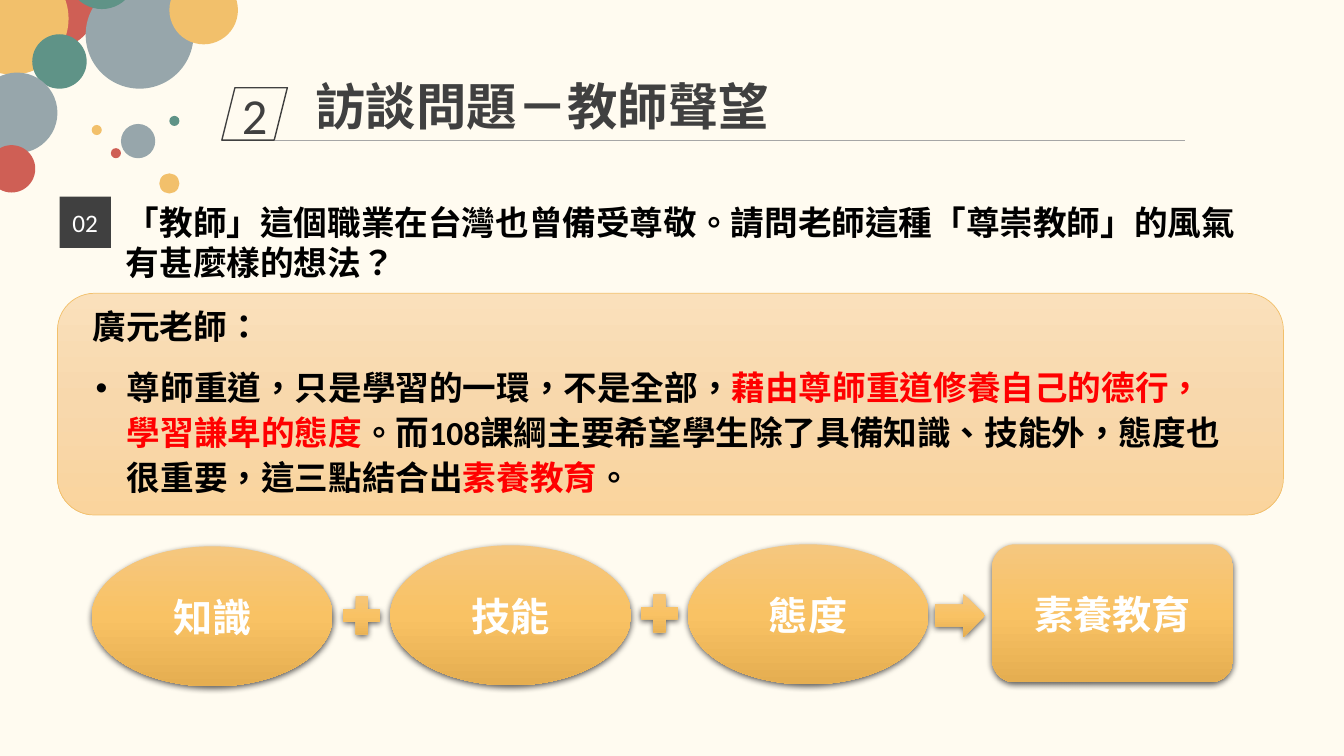
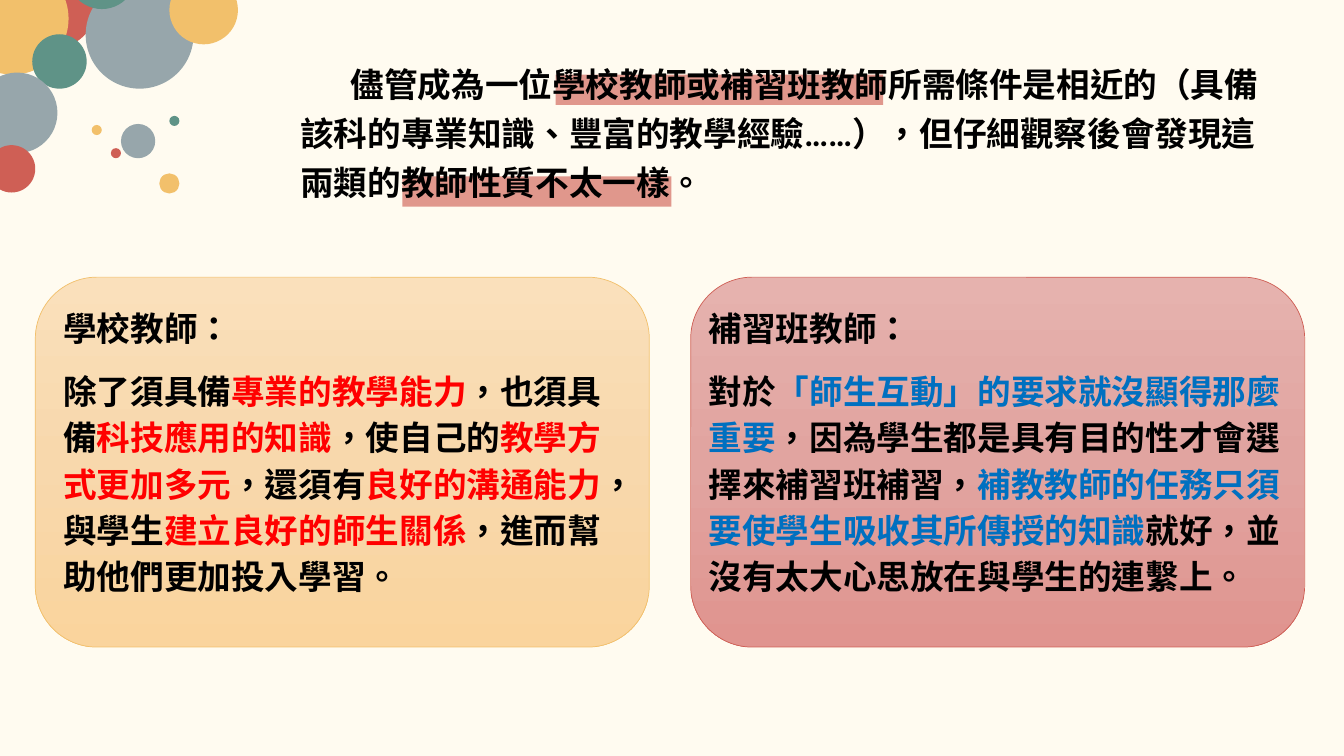
from copy import deepcopy
from dataclasses import dataclass

from lxml import etree
from pptx import Presentation
from pptx.dml.color import RGBColor
from pptx.enum.lang import MSO_LANGUAGE_ID
from pptx.enum.shapes import MSO_CONNECTOR, MSO_SHAPE
from pptx.enum.text import MSO_ANCHOR, MSO_AUTO_SIZE, PP_ALIGN
from pptx.oxml.ns import qn
from pptx.util import Emu, Pt

OVAL, RECT, ROUND = MSO_SHAPE.OVAL, MSO_SHAPE.RECTANGLE, MSO_SHAPE.ROUNDED_RECTANGLE
PLUS, ARROW, SLANT = MSO_SHAPE.MATH_PLUS, MSO_SHAPE.RIGHT_ARROW, MSO_SHAPE.PARALLELOGRAM
STRAIGHT = MSO_CONNECTOR.STRAIGHT
LEFT, CENTER = PP_ALIGN.LEFT, PP_ALIGN.CENTER
MIDDLE, FIT = MSO_ANCHOR.MIDDLE, MSO_AUTO_SIZE.SHAPE_TO_FIT_TEXT
CHINESE = MSO_LANGUAGE_ID.TRADITIONAL_CHINESE
PX = 9144  # 100 px to the inch


@dataclass(frozen=True)
class Theme:
    background: str = "FFFBF0"
    black: str = "000000"
    white: str = "FFFFFF"
    dark: str = "404040"
    rule: str = "A6A6A6"
    red: str = "CF5F55"
    yellow: str = "F2C06B"
    green: str = "5F9387"
    gray: str = "97A6AB"
    strong: str = "FF0000"
    blue: str = "0070C0"
    pale_yellow: tuple = ("FAE0BB", "F8D8AC", "FAD49D")
    pale_red: tuple = ("E6B2AE", "E1A4A0", "E0948F")
    gold: tuple = ("F5C77F", "F9C264", "E5AE51")
    body_font: str = "Calibri"
    heading_font: str = "Noto Sans CJK SC"
    title_size: int = 36
    step_size: int = 28
    body_size: int = 24
    tag_size: int = 18


THEME = Theme()

# Corner circles: left, top, diameter, colour
CIRCLES = [
    (4, -44, 93, THEME.red), (-43, -37, 111, THEME.yellow), (32, 34, 54, THEME.green),
    (-23, 72, 80, THEME.gray), (85, -19, 107, THEME.gray), (67, -59, 68, THEME.green),
    (-12, 144, 47, THEME.red), (120, 123, 34, THEME.gray), (110, 147, 10, THEME.red),
    (91, 124, 10, THEME.yellow), (168, 115, 10, THEME.green), (158, 172, 20, THEME.yellow),
    (168, -24, 68, THEME.yellow),
]

# Slide 1
TITLE = "訪談問題－教師聲望"
QUESTION = "「教師」這個職業在台灣也曾備受尊敬。請問老師這種「尊崇教師」的風氣有甚麼樣的想法？"
SPEAKER = "廣元老師："
ANSWER = [
    ("尊師重道，只是學習的一環，不是全部，", THEME.black),
    ("藉由尊師重道修養自己的德行，學習謙卑的態度", THEME.strong),
    ("。而108課綱主要希望學生除了具備知識、技能外，態度也很重要，這三點結合出", THEME.black),
    ("素養教育", THEME.strong),
    ("。", THEME.black),
]
STEPS = [
    (OVAL, (91, 542, 239, 139), "知識"),
    (OVAL, (387, 541, 239, 139), "技能"),
    (OVAL, (682, 540, 239, 139), "態度"),
    (ROUND, (984, 540, 239, 137), "素養教育"),
    (ARROW, (927, 589, 50, 43), ""),
    (PLUS, (334, 585, 50, 51), ""),
    (PLUS, (629, 583, 50, 51), ""),
]

# Slide 2
INTRO = ("儘管成為一位學校教師或補習班教師所需條件是相近的（具備該科的專業知識、豐富的教學經驗……），"
         "但仔細觀察後會發現這兩類的教師性質不太一樣。")
HIGHLIGHTS = [(551, 74, 325, 30), (399, 175, 267, 30)]
CARDS = [
    {
        "left": 685, "text_box": (693, 295, 594, 302),
        "fill": THEME.pale_red, "line": THEME.red,
        "heading": "補習班教師：",
        "body": [
            ("對於", THEME.black),
            ("「師生互動」的要求就沒顯得那麼重要", THEME.blue),
            ("，因為學生都是具有目的性才會選擇來補習班補習，", THEME.black),
            ("補教教師的任務只須要使學生吸收其所傳授的知識", THEME.blue),
            ("就好，並沒有太大心思放在與學生的連繫上。", THEME.black),
        ],
    },
    {
        "left": 35, "text_box": (53, 295, 573, 302),
        "fill": THEME.pale_yellow, "line": THEME.yellow,
        "heading": "學校教師：",
        "body": [
            ("除了須具備", THEME.black), ("專業的教學能力", THEME.strong),
            ("，也須具備", THEME.black), ("科技應用的知識", THEME.strong),
            ("，使自己的", THEME.black), ("教學方式更加多元", THEME.strong),
            ("，還須有", THEME.black), ("良好的溝通能力", THEME.strong),
            ("，與學生", THEME.black), ("建立良好的師生關係", THEME.strong),
            ("，進而幫助他們更加投入學習。", THEME.black),
        ],
    },
]


def emu(*lengths):
    return [Emu(length * PX) for length in lengths]


def rgb(color):
    return RGBColor.from_string(color)


def set_gradient(shape, colors):
    """Three evenly spaced stops running from top to bottom."""
    shape.fill.gradient()
    stop_list = shape._element.spPr.find(".//" + qn("a:gsLst"))
    stop_list.append(deepcopy(stop_list[0]))
    for index, (stop, color) in enumerate(zip(shape.fill.gradient_stops, colors)):
        stop.position = index / 2
        stop.color.rgb = rgb(color)
    shape.fill.gradient_angle = 270


def add_shape(shapes, kind, box, fill=None, line=None, line_width=0.5):
    shape = shapes.add_shape(kind, *emu(*box))
    shape.shadow.inherit = False
    if fill is None:
        shape.fill.background()
    elif isinstance(fill, tuple):
        set_gradient(shape, fill)
    else:
        shape.fill.solid()
        shape.fill.fore_color.rgb = rgb(fill)
    if line:
        shape.line.color.rgb = rgb(line)
        shape.line.width = Pt(line_width)
    else:
        shape.line.fill.background()
    return shape


def add_soft_shadow(shape):
    effects = shape._element.spPr.find(qn("a:effectLst"))
    shadow = etree.SubElement(effects, qn("a:outerShdw"), blurRad=str(Pt(4.5)),
                              dist=str(Pt(1.5)), dir="5400000", rotWithShape="0")
    color = etree.SubElement(shadow, qn("a:srgbClr"), val=THEME.black)
    etree.SubElement(color, qn("a:alpha"), val="63000")


def write(paragraph, runs, size=THEME.body_size, font=THEME.body_font, bold=True,
          align=LEFT, spacing=None):
    """Fill a paragraph with (text, colour) runs."""
    paragraph.alignment = align
    if spacing:
        paragraph.line_spacing = Pt(spacing)
    for text, color in runs:
        run = paragraph.add_run()
        run.text = text
        run.font.size, run.font.bold, run.font.name = Pt(size), bold, font
        run.font.color.rgb = rgb(color)
        run.font.language_id = CHINESE
        etree.SubElement(run._r.get_or_add_rPr(), qn("a:ea"), typeface=font)


def label(shape, text, color, size, bold=False):
    frame = shape.text_frame
    frame.vertical_anchor = MIDDLE
    frame.margin_left = frame.margin_right = 0
    write(frame.paragraphs[0], [(text, color)], size, bold=bold, align=CENTER)


def add_text(slide, box, wrap=True):
    frame = slide.shapes.add_textbox(*emu(*box)).text_frame
    frame.word_wrap = wrap
    frame.auto_size = FIT
    return frame


def set_indent(paragraph, margin, indent, bullet=None):
    properties = paragraph._p.get_or_add_pPr()
    properties.set("marL", str(margin * PX))
    properties.set("indent", str(indent * PX))
    if bullet:
        etree.SubElement(properties, qn("a:buFont"), typeface="Arial")
        etree.SubElement(properties, qn("a:buChar"), char=bullet)


def add_slide(presentation):
    slide = presentation.slides.add_slide(presentation.slide_layouts[6])
    slide.background.fill.solid()
    slide.background.fill.fore_color.rgb = rgb(THEME.background)
    return slide


def add_circles(slide):
    group = slide.shapes.add_group_shape()
    for left, top, diameter, color in CIRCLES:
        add_shape(group.shapes, OVAL, (left, top, diameter, diameter), color)


def build_interview(presentation):
    slide = add_slide(presentation)
    shapes = slide.shapes
    add_shape(shapes, ROUND, (57, 291, 1216, 220), THEME.pale_yellow, THEME.yellow)
    add_circles(slide)

    # Title with number and rule
    write(add_text(slide, (303, 70, 513, 71)).paragraphs[0], [(TITLE, THEME.dark)],
          THEME.title_size, THEME.heading_font)
    number = add_shape(shapes, SLANT, (220, 87, 65, 52), line=THEME.dark, line_width=1)
    label(number, "2", THEME.dark, THEME.title_size)
    rule = shapes.add_connector(STRAIGHT, *emu(273, 139, 1175, 139))
    rule.line.color.rgb = rgb(THEME.rule)
    rule.line.width = Pt(0.5)
    etree.SubElement(rule._element.spPr, qn("a:effectLst"))

    # Question and answer
    tag = add_shape(shapes, RECT, (59, 195, 51, 51), THEME.dark)
    label(tag, "02", THEME.white, THEME.tag_size)
    write(add_text(slide, (115, 195, 1123, 91)).paragraphs[0], [(QUESTION, THEME.black)])
    answer = add_text(slide, (85, 355, 1140, 145)).paragraphs[0]
    set_indent(answer, 31, -31, "•")
    write(answer, ANSWER, spacing=32)
    write(add_text(slide, (82, 299, 188, 50), wrap=False).paragraphs[0],
          [(SPEAKER, THEME.black)], font=THEME.heading_font)

    # Sum of three parts
    for kind, box, text in STEPS:
        step = add_shape(shapes, kind, box, THEME.gold)
        add_soft_shadow(step)
        if text:
            label(step, text, THEME.white, THEME.step_size, bold=True)


def build_comparison(presentation):
    slide = add_slide(presentation)
    for card in CARDS:
        add_shape(slide.shapes, ROUND, (card["left"], 275, 609, 367), card["fill"], card["line"])
    add_circles(slide)
    for card in CARDS:
        frame = add_text(slide, card["text_box"])
        write(frame.paragraphs[0], [(card["heading"], THEME.black)],
              font=THEME.heading_font, spacing=33)
        body = frame.add_paragraph()
        body.space_before = Pt(12)
        write(body, card["body"], spacing=33)

    # Introduction over its highlight bars
    for box in HIGHLIGHTS:
        bar = add_shape(slide.shapes, RECT, box, THEME.red)
        color = bar._element.spPr.find(qn("a:solidFill"))[0]
        etree.SubElement(color, qn("a:alpha"), val="64000")
    intro = add_text(slide, (288, 50, 988, 154)).paragraphs[0]
    set_indent(intro, 0, 50)
    write(intro, [(INTRO, THEME.black)], spacing=35)


def main():
    presentation = Presentation()
    presentation.slide_width, presentation.slide_height = emu(1333, 750)
    build_interview(presentation)
    build_comparison(presentation)
    presentation.save("out.pptx")


if __name__ == "__main__":
    main()
